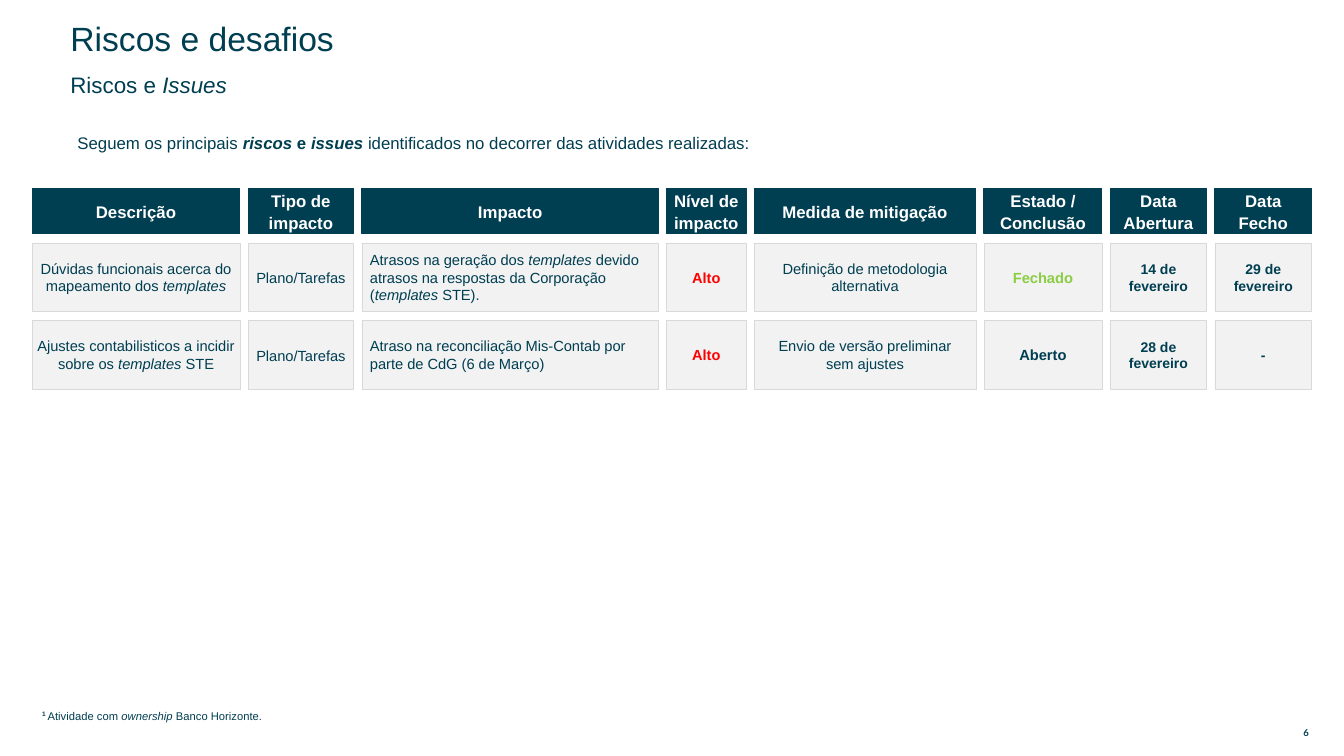
from dataclasses import dataclass

from pptx import Presentation
from pptx.dml.color import RGBColor as Rgb
from pptx.enum.shapes import MSO_SHAPE as Shape
from pptx.enum.text import MSO_ANCHOR as Anchor, PP_ALIGN as Align
from pptx.util import Inches, Pt


@dataclass(frozen=True)
class Theme:
    """Colours, fonts and type sizes of the slide."""
    petrol: str = "003E51"
    white: str = "FFFFFF"
    cell: str = "F2F2F2"
    border: str = "D9D9D9"
    high: str = "FF0000"
    closed: str = "8BCD44"
    font: str = "Arial"
    number_font: str = "Lato"
    title: float = 24
    subtitle: float = 16
    body: float = 12
    cell_text: float = 10.5
    level: float = 10.4
    date: float = 10
    note: float = 8
    number: float = 6.8


@dataclass(frozen=True)
class Column:
    """Width and text style of one column of the risk grid."""
    heading: str
    width: float
    inset: float = 0.04
    size: float = Theme.cell_text
    bold: bool = False
    align: Align = Align.CENTER
    spacing: float = 1.0


THEME = Theme()
GAP_X, GAP_Y = 0.08, 0.09
HEADER_HEIGHT, ROW_HEIGHT = 0.45, 0.68
COLUMNS = [
    Column("Descrição", 2.06),
    Column("Tipo de impacto", 1.05, spacing=1.1),
    Column("Impacto", 2.94, inset=0.08, align=Align.LEFT),
    Column("Nível de impacto", 0.79, inset=0, size=THEME.level, bold=True),
    Column("Medida de mitigação", 2.2, inset=0.12),
    Column("Estado / Conclusão", 1.17, inset=0.12, bold=True),
    Column("Data Abertura", 0.96, inset=0.12, size=THEME.date, bold=True),
    Column("Data Fecho", 0.96, inset=0.12, size=THEME.date, bold=True),
]
TEMPLATES = ("templates", "i")
RISKS = [
    [
        [("Dúvidas funcionais acerca do mapeamento dos ", ""), TEMPLATES],
        "Plano/Tarefas",
        [("Atrasos na geração dos ", ""), TEMPLATES,
         (" devido atrasos na respostas da Corporação (", ""), TEMPLATES, (" STE).", "")],
        "Alto", "Definição de metodologia alternativa",
        "Fechado", "14 de\nfevereiro", "29 de fevereiro",
    ],
    [
        [("Ajustes contabilisticos a incidir sobre os ", ""), TEMPLATES, (" STE", "")],
        "Plano/Tarefas",
        "Atraso na reconciliação Mis-Contab por parte de CdG (6 de Março)",
        "Alto", "Envio de versão preliminar sem ajustes",
        "Aberto", "28 de\nfevereiro", "-",
    ],
]
STATUS_COLOURS = {"Alto": THEME.high, "Fechado": THEME.closed}


def write(shape, content, size, colour=THEME.petrol, bold=False, align=Align.LEFT,
          spacing=1.0, anchor=Anchor.MIDDLE, insets=(0.1, 0.05), font=THEME.font):
    """Fill a shape with text; run styles are b (bold), i (italic), s (superscript)."""
    frame = shape.text_frame
    frame.word_wrap = True
    frame.vertical_anchor = anchor
    frame.margin_left = frame.margin_right = Inches(insets[0])
    frame.margin_top = frame.margin_bottom = Inches(insets[1])
    lines = [[(line, "")] for line in content.split("\n")] if isinstance(content, str) else [content]
    for index, line in enumerate(lines):
        paragraph = frame.add_paragraph() if index else frame.paragraphs[0]
        paragraph.alignment = align
        paragraph.line_spacing = spacing
        for words, style in line:
            run = paragraph.add_run()
            run.text = words
            run.font.name = font
            run.font.size = Pt(size)
            run.font.bold = bold or "b" in style
            run.font.italic = "i" in style
            run.font.color.rgb = Rgb.from_string(colour)
            if "s" in style:
                run.font._element.set("baseline", "30000")


def add_text(slide, box, content, size, **style):
    """Place a text box."""
    write(slide.shapes.add_textbox(*map(Inches, box)), content, size, **style)


def add_cell(shapes, box, fill, border, border_width, content, size, **style):
    """Place one filled and outlined rectangle of the grid."""
    cell = shapes.add_shape(Shape.RECTANGLE, *map(Inches, box))
    cell.shadow.inherit = False
    cell.fill.solid()
    cell.fill.fore_color.rgb = Rgb.from_string(fill)
    cell.line.color.rgb = Rgb.from_string(border)
    cell.line.width = Pt(border_width)
    write(cell, content, size, **style)


def column_lefts(left):
    """Return the left edge of each column."""
    return [left + sum(column.width + GAP_X for column in COLUMNS[:index])
            for index in range(len(COLUMNS))]


def add_header_row(slide, left, top):
    """Place the column headings."""
    for column, x in zip(COLUMNS, column_lefts(left)):
        add_cell(slide.shapes, (x, top, column.width, HEADER_HEIGHT), THEME.petrol, THEME.petrol,
                 0.75, column.heading, THEME.body, colour=THEME.white, bold=True,
                 align=Align.CENTER, spacing=1.1, insets=(0.04, 0.04))


def add_risk_row(slide, left, top, risk):
    """Place the grouped cells of one risk."""
    group = slide.shapes.add_group_shape()
    for column, x, content in zip(COLUMNS, column_lefts(left), risk):
        colour = STATUS_COLOURS.get(content, THEME.petrol) if isinstance(content, str) else THEME.petrol
        add_cell(group.shapes, (x, top, column.width, ROW_HEIGHT), THEME.cell, THEME.border,
                 0.5, content, column.size, colour=colour, bold=column.bold, align=column.align,
                 spacing=column.spacing, insets=(column.inset, min(column.inset, 0.04)))


def add_risk_grid(slide, left, top):
    """Place the headings and all risks below them."""
    add_header_row(slide, left, top)
    first_row = top + HEADER_HEIGHT + GAP_Y
    for index, risk in enumerate(RISKS):
        add_risk_row(slide, left, first_row + index * (ROW_HEIGHT + GAP_Y), risk)


def add_heading(slide, left, top):
    """Place the title, the subtitle and the introduction."""
    add_text(slide, (left, top, 7.95, 0.26), "Riscos e desafios", THEME.title, spacing=0.9)
    add_text(slide, (left, top + 0.46, 7.66, 0.26), [("Riscos e ", ""), ("Issues", "i")],
             THEME.subtitle, spacing=0.9)
    add_text(slide, (left + 0.07, top + 1, 12.15, 0.44),
             [("Seguem os principais ", ""), ("riscos ", "bi"), ("e ", "b"), ("issues ", "bi"),
              ("identificados no decorrer das atividades realizadas:", "")],
             THEME.body, anchor=Anchor.TOP)


def add_footer(slide, left, top):
    """Place the footnote and the page number."""
    add_text(slide, (left, top, 11.76, 0.25),
             [("1 ", "bs"), ("Atividade com ", ""), ("ownership", "i"), (" Banco Horizonte.", "")],
             THEME.note, spacing=1.1, anchor=Anchor.TOP)
    add_text(slide, (left + 12.41, top + 0.22, 0.45, 0.16), "6", THEME.number, bold=True,
             align=Align.CENTER, insets=(0.06, 0.03), font=THEME.number_font)


def main():
    """Build and save the slide."""
    deck = Presentation()
    deck.slide_width, deck.slide_height = Inches(13.33), Inches(7.5)
    slide = deck.slides.add_slide(deck.slide_layouts[6])
    add_heading(slide, 0.6, 0.27)
    add_risk_grid(slide, 0.32, 1.87)
    add_footer(slide, 0.32, 6.97)
    deck.save("out.pptx")


if __name__ == "__main__":
    main()
